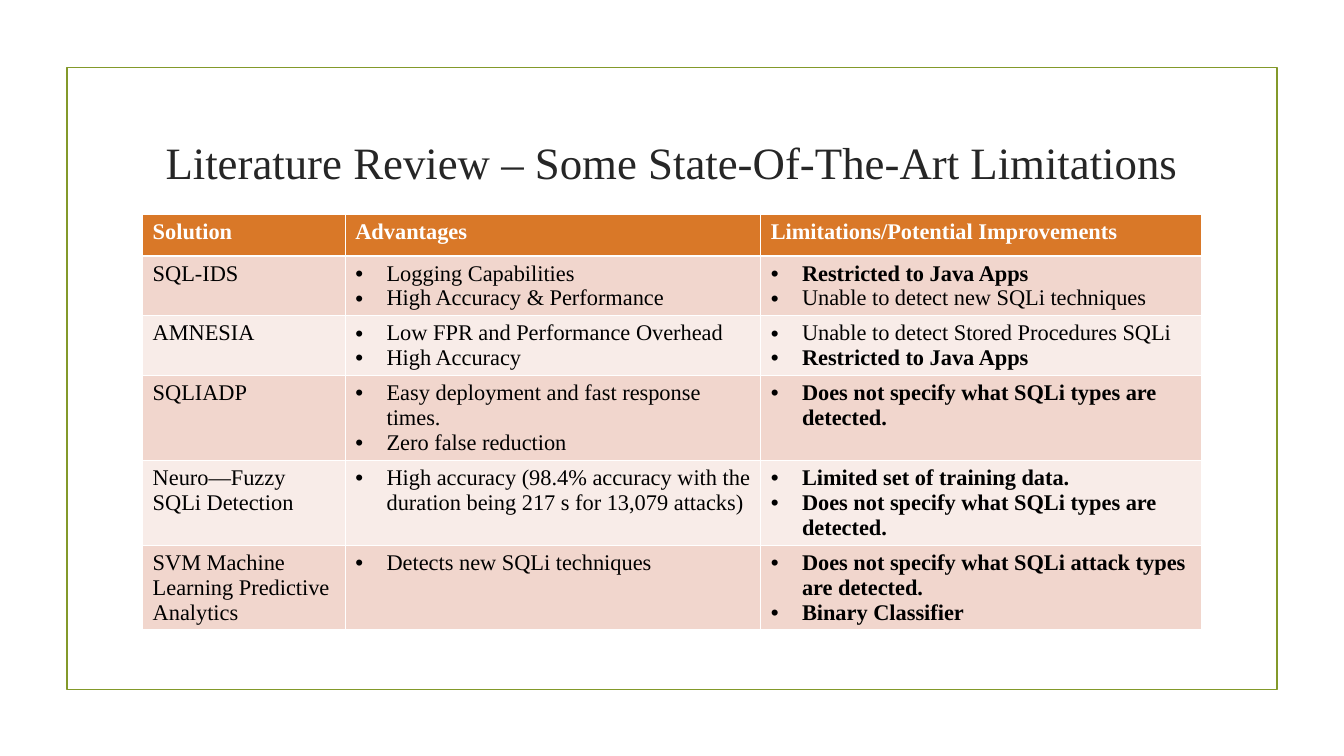
from lxml import etree
from pptx import Presentation
from pptx import util as u
from pptx.dml.color import RGBColor
from pptx.enum import shapes, text
from pptx.oxml.ns import qn

TITLE = "Literature Review – Some State-Of-The-Art Limitations"
HEADERS = ["Solution", "Advantages", "Limitations/Potential Improvements"]
BOLD, PLAIN = True, False
# Solution, advantages, limitations with their weight, lines of text in the row
SOLUTIONS = [
    ("SQL-IDS",
     ["Logging Capabilities", "High Accuracy & Performance"],
     [("Restricted to Java Apps", BOLD),
      ("Unable to detect new SQLi techniques", PLAIN)], 2),
    ("AMNESIA",
     ["Low FPR and Performance Overhead", "High Accuracy"],
     [("Unable to detect Stored Procedures SQLi", PLAIN),
      ("Restricted to Java Apps", BOLD)], 2),
    ("SQLIADP",
     ["Easy deployment and fast response times.", "Zero false reduction"],
     [("Does not specify what SQLi types are detected.", BOLD)], 3),
    ("Neuro—Fuzzy SQLi Detection",
     ["High accuracy (98.4% accuracy with the duration being 217 s for 13,079 attacks)"],
     [("Limited set of training data.", BOLD),
      ("Does not specify what SQLi types are detected.", BOLD)], 3),
    ("SVM Machine Learning Predictive Analytics",
     ["Detects new SQLi techniques"],
     [("Does not specify what SQLi attack types are detected.", BOLD),
      ("Binary Classifier", BOLD)], 3),
]

FONT = "Times New Roman"
GREEN = RGBColor(0x83, 0x99, 0x2A)
ORANGE = RGBColor(0xD9, 0x78, 0x28)
BANDS = [RGBColor(0xF1, 0xD6, 0xCD), RGBColor(0xF8, 0xEC, 0xE8)]
CHARCOAL = RGBColor(0x26, 0x26, 0x26)
BLACK = RGBColor(0, 0, 0)
WHITE = RGBColor(0xFF, 0xFF, 0xFF)

WIDTH, HEIGHT = 13.33, 7.5
FRAME_TOP, FRAME_W, FRAME_H = 0.67, 12, 6.17
COLUMNS = [2.01, 4.12, 4.37]
CONTENT_W = sum(COLUMNS)
CONTENT_LEFT = (WIDTH - CONTENT_W) / 2
TITLE_TOP, TITLE_H = 1.07, 1.06
HEADER_H, LINE_H, CELL_PADDING = 0.41, 0.25, 0.09
INDENT = 0.31


def box(*lengths):
    return [u.Inches(length) for length in lengths]


def style(p, size, color, bold=False):
    for r in p.runs:
        r.font.name, r.font.size, r.font.bold = FONT, u.Pt(size), bold
        r.font.color.rgb = color


def add_bullet(p):
    pPr = p._p.get_or_add_pPr()
    pPr.set("marL", str(u.Inches(INDENT)))
    pPr.set("indent", str(-u.Inches(INDENT)))
    etree.SubElement(pPr, qn("a:buFont"), typeface="Arial")
    etree.SubElement(pPr, qn("a:buChar"), char="•")


def fill_cell(cell, items, fill, color=BLACK, bullets=False):
    """Write (text, bold) items as the paragraphs of a cell."""
    cell.fill.solid()
    cell.fill.fore_color.rgb = fill
    tf = cell.text_frame
    tf.text = "\n".join(item for item, _ in items)
    for p, (_, bold) in zip(tf.paragraphs, items):
        style(p, 16, color, bold)
        if bullets:
            add_bullet(p)


def add_frame(slide):
    frame = slide.shapes.add_shape(
        shapes.MSO_SHAPE.RECTANGLE,
        *box((WIDTH - FRAME_W) / 2, FRAME_TOP, FRAME_W, FRAME_H))
    frame.shadow.inherit = False
    frame.fill.background()
    frame.line.color.rgb = GREEN
    frame.line.width = u.Pt(1.25)


def add_title(slide):
    title = slide.shapes.title
    title.left, title.top, title.width, title.height = box(
        CONTENT_LEFT, TITLE_TOP, CONTENT_W, TITLE_H)
    tf = title.text_frame
    tf.text = TITLE
    tf.vertical_anchor = text.MSO_ANCHOR.MIDDLE
    p = tf.paragraphs[0]
    p.alignment = text.PP_ALIGN.CENTER
    style(p, 32, CHARCOAL)


def add_review_table(slide):
    heights = [HEADER_H] + [lines * LINE_H + CELL_PADDING for *_, lines in SOLUTIONS]
    table = slide.shapes.add_table(
        len(heights), len(COLUMNS),
        *box(CONTENT_LEFT, TITLE_TOP + TITLE_H, CONTENT_W, sum(heights))).table
    for column, width in zip(table.columns, COLUMNS):
        column.width = u.Inches(width)
    for row, height in zip(table.rows, heights):
        row.height = u.Inches(height)

    for col, header in enumerate(HEADERS):
        fill_cell(table.cell(0, col), [(header, BOLD)], ORANGE, WHITE)
    for row, (name, advantages, limitations, _) in enumerate(SOLUTIONS, 1):
        band = BANDS[(row - 1) % 2]
        fill_cell(table.cell(row, 0), [(name, PLAIN)], band)
        fill_cell(table.cell(row, 1), [(a, PLAIN) for a in advantages], band, bullets=True)
        fill_cell(table.cell(row, 2), limitations, band, bullets=True)


def main():
    prs = Presentation()
    prs.slide_width, prs.slide_height = box(WIDTH, HEIGHT)
    slide = prs.slides.add_slide(prs.slide_layouts[5])
    add_frame(slide)
    add_title(slide)
    add_review_table(slide)
    prs.save("out.pptx")


if __name__ == "__main__":
    main()
